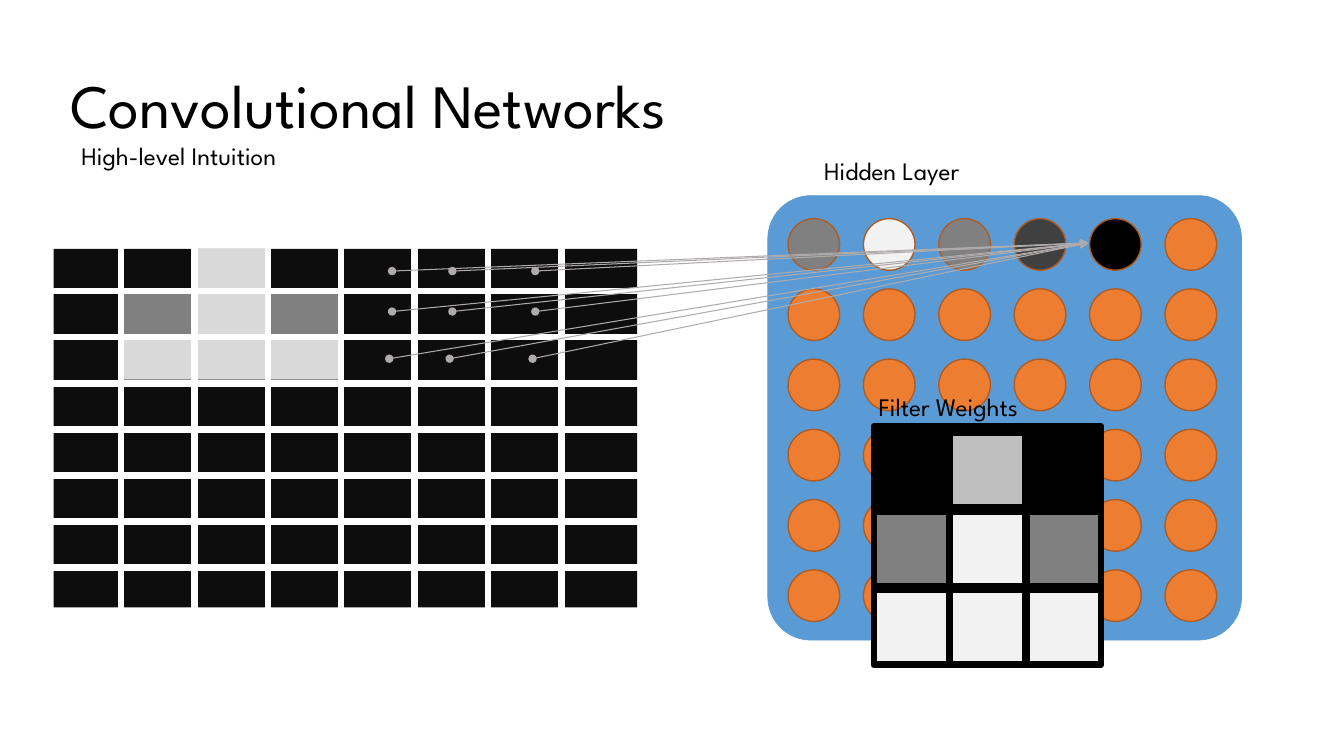
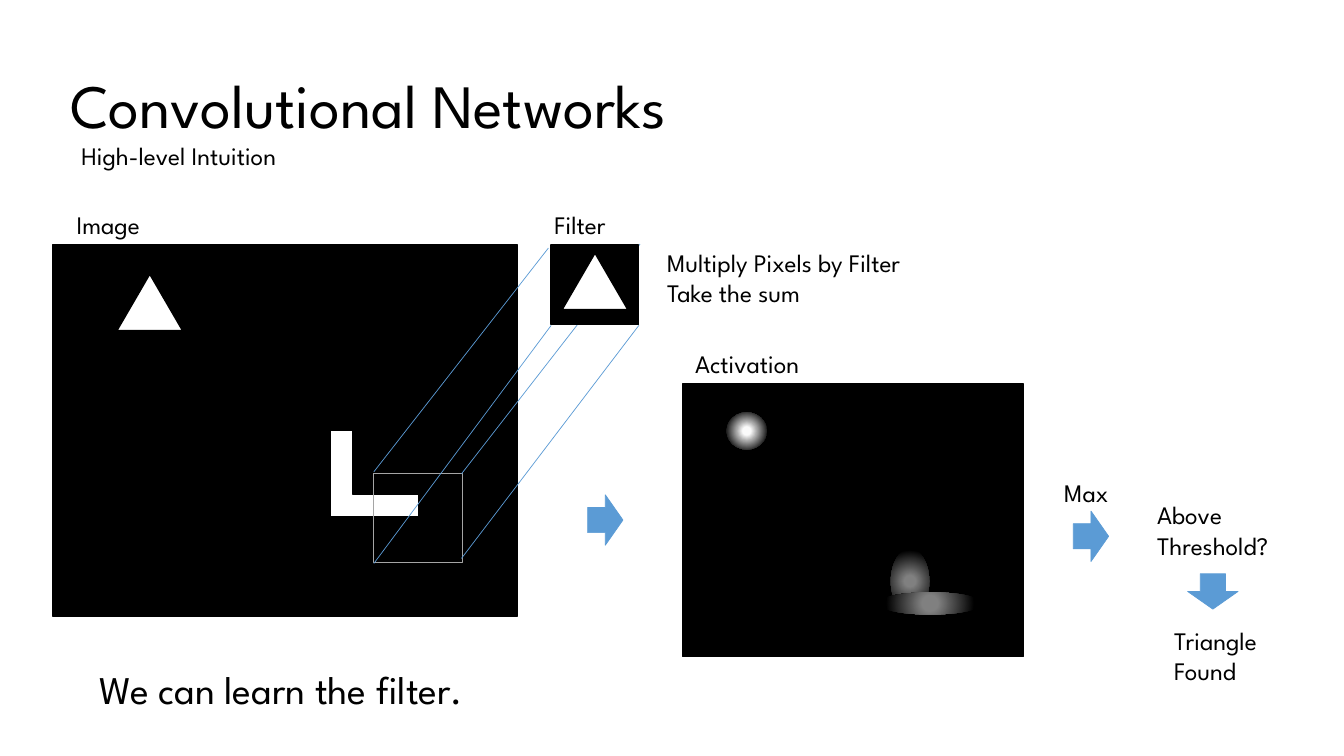
"""Build two slides on the intuition behind convolutional networks."""
import itertools
from dataclasses import dataclass

import pptx
import pptx.dml.color
import pptx.enum.shapes
import pptx.enum.text
import pptx.oxml
import pptx.oxml.ns
import pptx.util

Cm = pptx.util.Cm
Pt = pptx.util.Pt
Kind = pptx.enum.shapes.MSO_SHAPE
Anchor = pptx.enum.text.MSO_ANCHOR


@dataclass(frozen=True)
class Theme:
    font: str = "League Spartan"
    black: str = "000000"
    white: str = "FFFFFF"
    ink: str = "0D0D0D"
    dark: str = "404040"
    gray: str = "808080"
    frame: str = "A5A5A5"
    link: str = "AFABAB"
    silver: str = "BFBFBF"
    light: str = "D9D9D9"
    pale: str = "F2F2F2"
    glow: str = "FAFAFA"
    blue: str = "5B9BD5"
    orange: str = "ED7D31"
    rust: str = "AF5C24"
    title: int = 44
    large: int = 28
    body: int = 18


T = Theme()

TITLE = "Convolutional Networks"
SUB = "High-level Intuition"

PIXELS = {
    (0, 1): T.light,
    (1, 0): T.gray, (1, 1): T.light, (1, 2): T.gray,
    (2, 0): T.light, (2, 1): T.light, (2, 2): T.light,
}
NODES = [T.gray, T.pale, T.gray, T.dark, T.black, T.orange]
WEIGHTS = [
    [T.black, T.silver, T.black],
    [T.gray, T.pale, T.gray],
    [T.pale, T.pale, T.pale],
]
STARTS = [(6.83, 0), (7.85, 0), (9.04, -0.07)]
COLS = [9.88, 11.4, 13.49]
GOAL = (27.43, 6.12)

LABELS = [
    (["Image"], (1.68, 5.16, 2.54, 1.02), T.body),
    (["Filter"], (13.72, 5.16, 2.1, 1.02), T.body),
    (["Activation"], (17.27, 8.66, 3.71, 1.02), T.body),
    (["Max"], (26.57, 11.91, 1.85, 1.02), T.body),
    (["Multiply Pixels by Filter", "Take the sum"],
     (16.56, 6.1, 7.21, 1.8), T.body),
    (["Above", "Threshold?"], (28.91, 12.47, 3.78, 1.8), T.body),
    (["Triangle", "Found"], (29.34, 15.62, 2.92, 1.8), T.body),
    (["We can learn the filter."], (2.26, 16.64, 11.48, 1.45), T.large),
]
GLOWS = [
    ((18.31, 10.39, 1.02, 0.94), T.glow, 0),
    ((22.45, 13.82, 0.97, 1.65), T.gray, 0),
    ((23.16, 13.87, 0.56, 2.67), T.gray, 90),
]
ARROWS = [(14.81, 12.47, 0), (27.05, 12.88, 0), (30.12, 14.27, 90)]
RAYS = [
    ((9.42, 11.89), (13.82, 6.25)),
    ((11.63, 11.94), (16.13, 6.15)),
    ((9.42, 14.2), (13.89, 8.2)),
    ((11.63, 14.07), (16.1, 8.2)),
]


def tint(code):
    return pptx.dml.color.RGBColor.from_string(code)


def node(tag, attrs="", inner=""):
    space = pptx.oxml.ns.nsdecls("a")
    return pptx.oxml.parse_xml(f"<a:{tag} {space} {attrs}>{inner}</a:{tag}>")


def text(slide, lines, box, size=T.body, color=T.black, anchor=Anchor.TOP,
         space=None):
    frame = slide.shapes.add_textbox(*map(Cm, box)).text_frame
    frame.word_wrap = True
    frame.vertical_anchor = anchor
    for i, line in enumerate(lines):
        para = frame.paragraphs[0] if i == 0 else frame.add_paragraph()
        para.line_spacing = space
        run = para.add_run()
        run.text = line
        run.font.name = T.font
        run.font.size = Pt(size)
        run.font.color.rgb = tint(color)


def paint(item, fill=None, line=None, width=1):
    item.shadow.inherit = False
    if fill:
        item.fill.solid()
        item.fill.fore_color.rgb = tint(fill)
    else:
        item.fill.background()
    if line:
        item.line.color.rgb = tint(line)
        item.line.width = Pt(width)
    else:
        item.line.fill.background()


def shape(slide, kind, box, fill=None, line=None, width=1, turn=0, adjust=()):
    item = slide.shapes.add_shape(kind, *map(Cm, box))
    item.rotation = turn
    for i, value in enumerate(adjust):
        item.adjustments[i] = value
    paint(item, fill, line, width)
    return item


def elbow(slide, box, arm, fill, line):
    x, y, wide, high = box
    right, base = x + wide, y + high
    points = [(x, y), (x + arm, y), (x + arm, base - arm),
              (right, base - arm), (right, base), (x, base)]
    first, *rest = [(Cm(a), Cm(b)) for a, b in points]
    pen = slide.shapes.build_freeform(*first)
    pen.add_line_segments(rest, close=True)
    paint(pen.convert_to_shape(), fill, line)


def stroke(slide, start, end, color, width, arrow=False):
    item = slide.shapes.add_connector(
        pptx.enum.shapes.MSO_CONNECTOR.STRAIGHT, *map(Cm, (*start, *end)))
    item.line.color.rgb = tint(color)
    item.line.width = Pt(width)
    if arrow:
        pen = item.line._get_or_add_ln()
        pen.append(node("headEnd", 'type="oval"'))
        pen.append(node("tailEnd", 'type="triangle"'))
    item._element.spPr.append(node("effectLst"))


def glow(slide, box, color, turn):
    item = shape(slide, Kind.OVAL, box, turn=turn)
    stops = "".join(
        f'<a:gs pos="{at}"><a:srgbClr val="{code}"/></a:gs>'
        for at, code in ((15000, color), (82000, T.black)))
    sides = " ".join(f'{side}="50000"' for side in "ltrb")
    blend = node("gradFill", 'rotWithShape="1"',
                 f'<a:gsLst>{stops}</a:gsLst>'
                 f'<a:path path="circle"><a:fillToRect {sides}/></a:path>')
    props = item._element.spPr
    props.replace(props.find(pptx.oxml.ns.qn("a:noFill")), blend)


def heads(slide):
    text(slide, [TITLE], (1.52, 0.89, 30, 3.68), size=T.title,
         anchor=Anchor.MIDDLE, space=0.9)
    text(slide, [SUB], (1.8, 3.4, 6.17, 1.02))


def pixels(slide):
    shape(slide, Kind.RECTANGLE, (1.35, 6.27, 14.71, 9.04), T.ink)
    for (row, col), color in PIXELS.items():
        box = (3.05 + 1.88 * col, 6.27 + 1.13 * row, 1.85, 1.04)
        shape(slide, Kind.RECTANGLE, box, color)
    for i in range(7):
        x, y = 3.05 + 1.85 * i, 7.34 + 1.16 * i
        stroke(slide, (1.19, y), (16.26, y), T.white, 4.5)
        stroke(slide, (x, 6.22), (x, 15.39), T.white, 4.5)


def hidden(slide):
    shape(slide, Kind.ROUNDED_RECTANGLE, (19.35, 4.93, 11.94, 11.2),
          T.blue, T.blue, 0.5, adjust=[0.097])
    for row, col in itertools.product(range(6), repeat=2):
        if row < 3 or col not in (2, 3):
            box = (19.86 + 1.9 * col, 5.51 + 1.77 * row, 1.3, 1.3)
            color = T.orange if row else NODES[col]
            shape(slide, Kind.OVAL, box, color, T.rust)
    text(slide, ["Hidden Layer"], (20.52, 3.78, 4.65, 1.02))


def weights(slide):
    shape(slide, Kind.RECTANGLE, (22.02, 10.74, 5.72, 6.02),
          T.black, T.black, 4.5)
    for row, colors in enumerate(WEIGHTS):
        for col, color in enumerate(colors):
            box = (22.07 + 1.92 * col, 10.95 + 1.98 * row, 1.8, 1.8)
            shape(slide, Kind.RECTANGLE, box, color, T.black, 2.25)
    text(slide, ["Filter Weights"], (21.89, 9.73, 4.55, 1.02))


def layer(slide):
    heads(slide)
    pixels(slide)
    hidden(slide)
    weights(slide)
    for (y, shift), x in itertools.product(STARTS, COLS):
        stroke(slide, (x + shift, y), GOAL, T.link, 0.75, arrow=True)


def search(slide):
    heads(slide)
    block, peak = Kind.RECTANGLE, Kind.ISOSCELES_TRIANGLE
    shape(slide, block, (1.32, 6.17, 11.73, 9.35), T.black, T.black)
    shape(slide, peak, (2.95, 6.91, 1.65, 1.42), T.white, T.black)
    elbow(slide, (8.33, 10.85, 2.21, 2.18), 0.57, T.white, T.black)
    shape(slide, block, (17.2, 9.68, 8.59, 6.86), T.black, T.black)
    for box, color, turn in GLOWS:
        glow(slide, box, color, turn)
    shape(slide, block, (9.42, 11.94, 2.24, 2.24), line=T.frame)
    for start, end in RAYS:
        stroke(slide, start, end, T.blue, 0.5)
    shape(slide, block, (13.89, 6.17, 2.21, 2.01), T.black, T.black)
    shape(slide, peak, (14.17, 6.38, 1.65, 1.42), T.white, T.black)
    for x, y, turn in ARROWS:
        shape(slide, Kind.RIGHT_ARROW, (x, y, 0.89, 1.27), T.blue, T.blue,
              0.5, turn=turn)
    for lines, box, size in LABELS:
        text(slide, lines, box, size=size)


def main():
    deck = pptx.Presentation()
    deck.slide_width, deck.slide_height = Cm(33.87), Cm(19.05)
    for draw in (layer, search):
        draw(deck.slides.add_slide(deck.slide_layouts[6]))
    deck.save("out.pptx")


if __name__ == "__main__":
    main()
